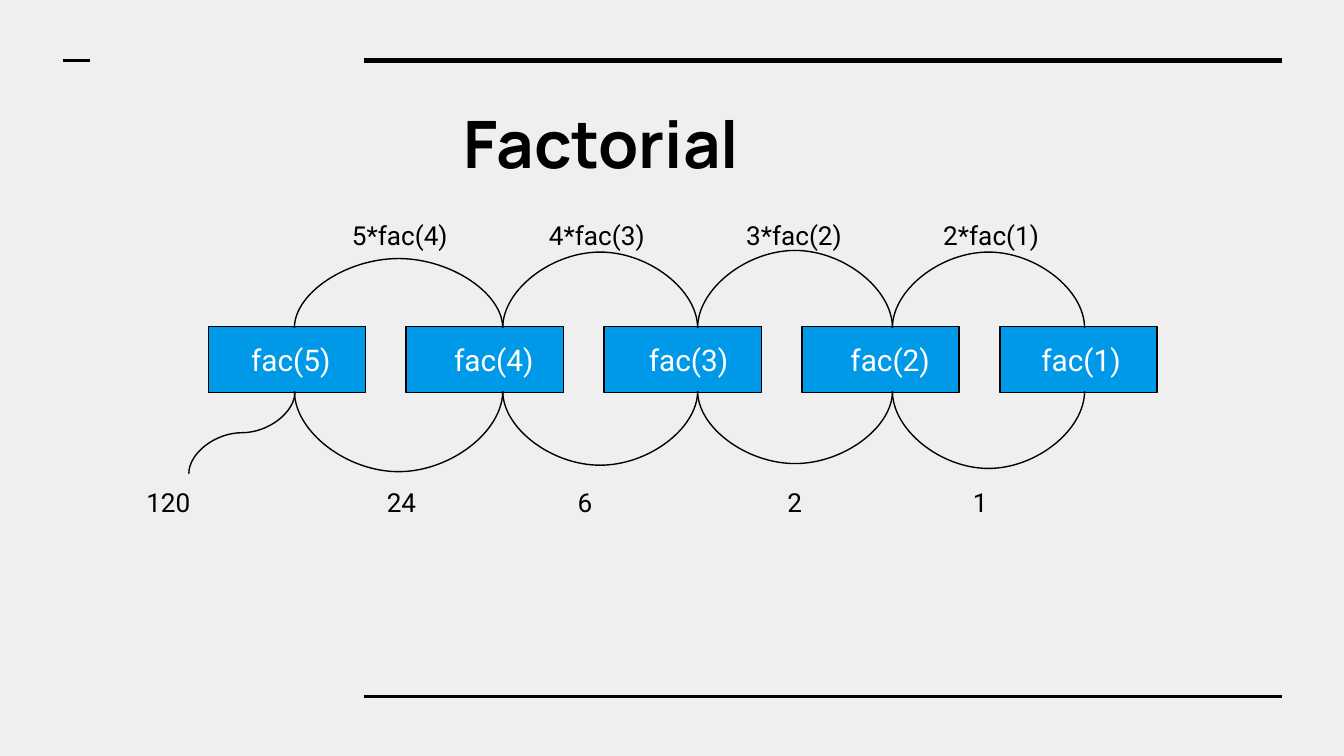
from itertools import pairwise

from lxml import etree
from pptx import Presentation
from pptx.dml.color import RGBColor
from pptx.enum.shapes import MSO_CONNECTOR, MSO_SHAPE
from pptx.enum.text import MSO_ANCHOR, MSO_AUTO_SIZE, PP_ALIGN
from pptx.oxml.ns import qn
from pptx.util import Emu, Inches, Pt

STRAIGHT, CURVE = MSO_CONNECTOR.STRAIGHT, MSO_CONNECTOR.CURVE
RECT = MSO_SHAPE.RECTANGLE
TOP, LEFT = MSO_ANCHOR.TOP, PP_ALIGN.LEFT
GROW, NO_FIT = MSO_AUTO_SIZE.SHAPE_TO_FIT_TEXT, MSO_AUTO_SIZE.NONE

COLORS = {"background": "EFEFEF", "ink": "000000", "box": "0099E8", "white": "FFFFFF"}

BOX_TOP, BOX_W, BOX_H = 2.43, 1.17, 0.49
FIRST_BOX, LAST_BOX = 1.55, 7.44
FIRST_PRODUCT, LAST_PRODUCT = 2.52, 6.92
CALLS = [(5, 1.77, 0.84), (4, 3.28, 0.92), (3, 4.73, 0.92), (2, 6.23, 0.84), (1, 7.65, 0.84)]
RESULTS = [("120", 0.99, 0.84), ("24", 2.78, 0.84), ("6", 4.2, 0.84),
           ("2", 5.76, 0.99), ("1", 7.14, 0.84)]
ARC_ENDS = [2.19, 3.74, 5.19, 6.64, 8.07]
ARC_TOP, ARC_BOTTOM = 2.44, 2.91
RISES = [0.43, 0.47, 0.48, 0.47]
DROPS = [0.5, 0.46, 0.45, 0.48]
ARC_THICKNESS = Emu(600)  # an arc's bend is a multiple of this, so it must not be zero


def color(name):
    return RGBColor.from_string(COLORS[name])


def spread(first, last, count):
    """Return count evenly spaced positions from first to last."""
    return [first + i * (last - first) / (count - 1) for i in range(count)]


def set_text(shape, text, size, font, ink="ink", bold=False, fit=GROW):
    tf = shape.text_frame
    tf.word_wrap = True
    tf.auto_size = fit
    tf.vertical_anchor = TOP
    tf.margin_left = tf.margin_right = tf.margin_top = tf.margin_bottom = Inches(0.1)
    tf.text = text
    p = tf.paragraphs[0]
    p.alignment = LEFT
    p.font.name, p.font.size, p.font.bold = font, Pt(size), bold
    p.font.color.rgb = color(ink)


def add_label(s, text, x, y, w, h, size=14, ink="ink"):
    tb = s.shapes.add_textbox(Inches(x), Inches(y), Inches(w), Inches(h))
    set_text(tb, text, size, "Roboto", ink)


def add_box(s, x):
    box = s.shapes.add_shape(RECT, Inches(x), Inches(BOX_TOP), Inches(BOX_W), Inches(BOX_H))
    box.shadow.inherit = False
    box.fill.solid()
    box.fill.fore_color.rgb = color("box")
    box.line.color.rgb = color("ink")
    box.line.width = Pt(0.75)


def style_line(line, width):
    line.line.color.rgb = color("ink")
    line.line.width = Pt(width)
    etree.SubElement(line._element.spPr, qn("a:effectLst"))


def add_rule(s, x1, x2, y, width):
    line = s.shapes.add_connector(STRAIGHT, Inches(x1), Inches(y), Inches(x2), Inches(y))
    style_line(line, width)


def add_curve(s, center_x, center_y, w, h, degrees, bend, flip=False):
    """Add a curve turned about its center; bend is a fraction of the width w."""
    x, y = Inches(center_x) - w // 2, Inches(center_y) - h // 2
    curve = s.shapes.add_connector(CURVE, x, y, x + w, y + h)
    sp_pr = curve._element.spPr
    xfrm = sp_pr.find(qn("a:xfrm"))
    xfrm.set("rot", str(degrees * 60000))
    if flip:
        xfrm.set("flipH", "1")
    geom = sp_pr.find(qn("a:prstGeom"))
    guides = geom.find(qn("a:avLst"))
    if guides is None:
        guides = etree.SubElement(geom, qn("a:avLst"))
    etree.SubElement(guides, qn("a:gd"), name="adj1", fmla=f"val {round(bend * 100000)}")
    style_line(curve, 0.75)


def add_arc(s, x1, x2, y, depth):
    """Add an arc between two points at one height; a negative depth bulges upward."""
    add_curve(s, (x1 + x2) / 2, y, ARC_THICKNESS, Inches(x2 - x1), 270,
              Inches(depth) / ARC_THICKNESS, flip=True)


def main():
    prs = Presentation()
    prs.slide_width = Inches(10)
    prs.slide_height = prs.slide_width * 9 // 16
    s = prs.slides.add_slide(prs.slide_layouts[5])
    s.background.fill.solid()
    s.background.fill.fore_color.rgb = color("background")

    add_rule(s, 2.71, 9.54, 0.45, 3)
    add_rule(s, 2.71, 9.54, 5.18, 1.5)
    add_rule(s, 0.47, 0.67, 0.45, 1.5)

    title = s.shapes.title
    title.left, title.top = Inches(3.35), Inches(0.67)
    title.width, title.height = Inches(6.91), Inches(0.69)
    set_text(title, "Factorial", 35, "Manrope", bold=True, fit=NO_FIT)

    for x in spread(FIRST_BOX, LAST_BOX, len(CALLS)):
        add_box(s, x)
    for n, x, w in CALLS:
        add_label(s, f"fac({n})", x, 2.44, w, 0.47, 16, "white")

    for (x1, x2), rise, drop in zip(pairwise(ARC_ENDS), RISES, DROPS):
        add_arc(s, x1, x2, ARC_TOP, -rise)
        add_arc(s, x1, x2, ARC_BOTTOM, drop)

    products = CALLS[:-1]
    for (n, _, _), x in zip(products, spread(FIRST_PRODUCT, LAST_PRODUCT, len(products))):
        add_label(s, f"{n}*fac({n - 1})", x, 1.53, 1.1, 0.44)
    for text, x, w in RESULTS:
        add_label(s, text, x, 3.52, w, 0.44)
    add_curve(s, 1.8, 3.22, Inches(0.61), Inches(0.79), 90, 0.5)

    prs.save("out.pptx")


if __name__ == "__main__":
    main()
